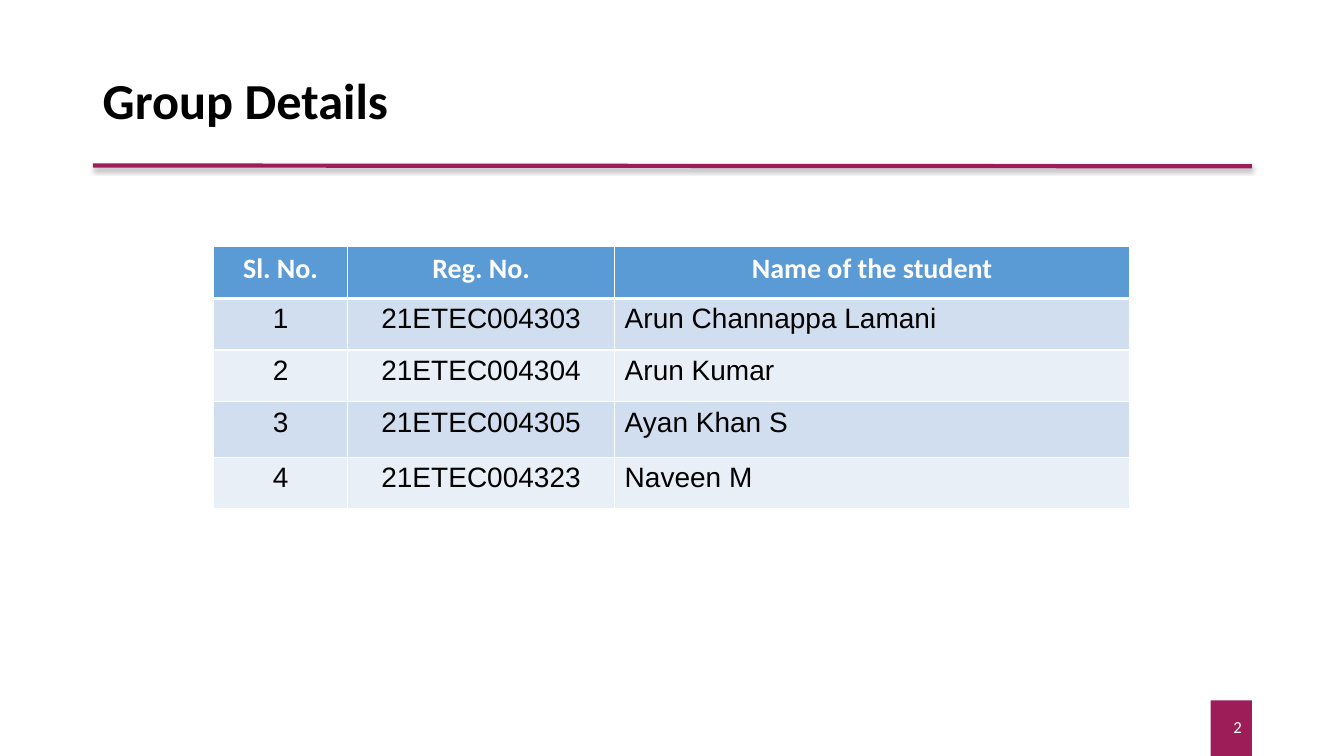
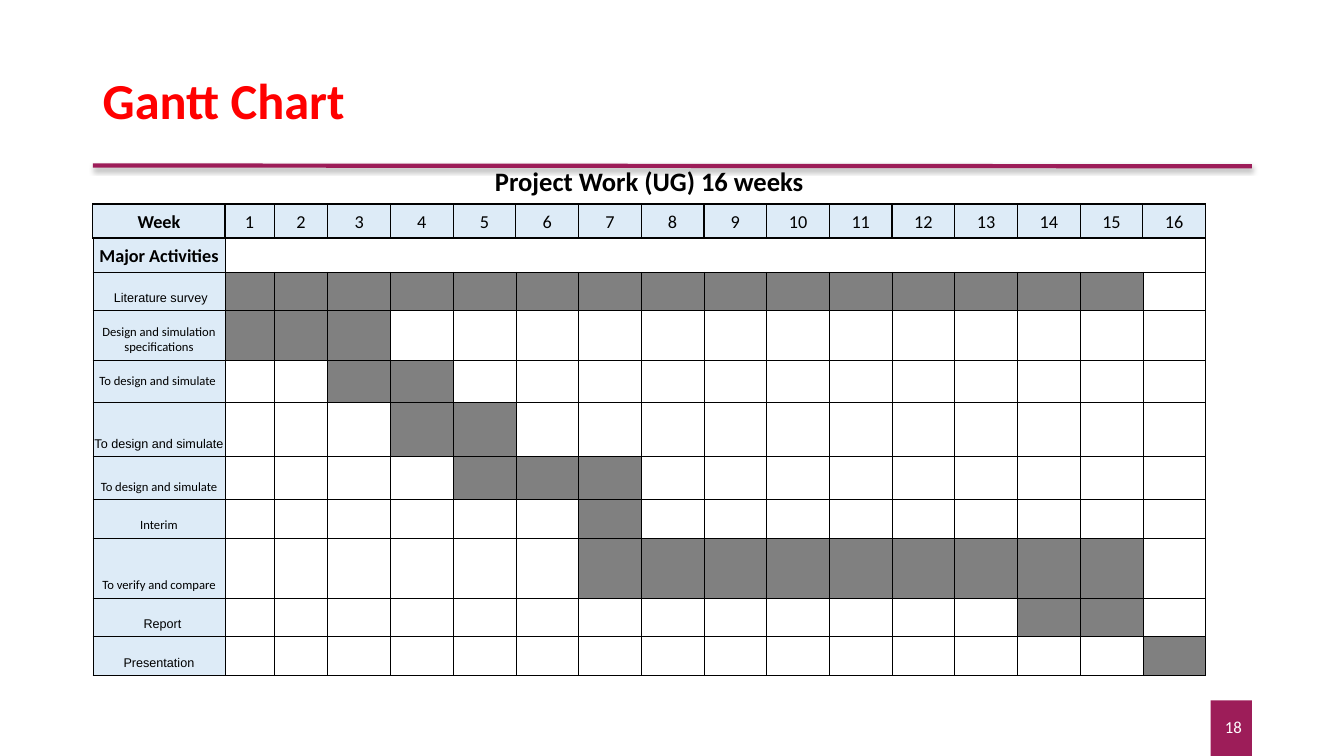
from lxml.etree import SubElement
from pptx import Presentation
from pptx.dml.color import RGBColor
from pptx.enum.shapes import MSO_CONNECTOR, MSO_SHAPE
from pptx.enum.text import MSO_ANCHOR, PP_ALIGN
from pptx.oxml.ns import qn
from pptx.util import Cm, Pt

COLORS = {
    "accent": "9D1D59", "black": "000000", "white": "FFFFFF", "red": "FF0000",
    "header": "5B9BD5", "band_dark": "D1DEEF", "band_light": "E9EFF7",
    "label": "DDEBF7", "busy": "808080",
}
RGB = {name: RGBColor.from_string(value) for name, value in COLORS.items()}
NO_STYLE = "{2D5ABB26-0587-4C30-8999-92F81FD0307C}"

prs = Presentation()
prs.slide_width, prs.slide_height = Cm(33.87), Cm(19.05)


def start_slide(title, color, number, left, top, widths, heights):
    """Add a slide with rule, page number and title; return its unstyled table."""
    s = prs.slides.add_slide(prs.slide_layouts[6])

    rule = s.shapes.add_connector(MSO_CONNECTOR.STRAIGHT, Cm(2.34), Cm(4.17), Cm(31.55), Cm(4.19))
    rule.line.color.rgb = RGB["accent"]
    rule.line.width = Pt(3)
    effects = SubElement(rule._element.spPr, qn("a:effectLst"))
    shadow = SubElement(effects, qn("a:outerShdw"), blurRad=str(Pt(3.1)), dist=str(Pt(1.8)),
                        dir="5400000", rotWithShape="0")
    shade = SubElement(shadow, qn("a:srgbClr"), val=COLORS["black"])
    SubElement(shade, qn("a:alpha"), val="35000")

    tab = s.shapes.add_shape(MSO_SHAPE.RECTANGLE, Cm(30.51), Cm(17.65), Cm(1.04), Cm(1.4))
    tab.shadow.inherit = False
    tab.fill.solid()
    tab.fill.fore_color.rgb = RGB["accent"]
    tab.line.fill.background()
    heading = s.shapes.add_textbox(Cm(2.34), Cm(1.02), Cm(23), Cm(3.18))
    for sp, text, size, ink, bold, align in (
        (tab, str(number), 12, "white", False, PP_ALIGN.RIGHT),
        (heading, title, 36, color, True, PP_ALIGN.LEFT),
    ):
        tf = sp.text_frame
        tf.word_wrap = True
        tf.vertical_anchor = MSO_ANCHOR.MIDDLE
        tf.text = text
        p = tf.paragraphs[0]
        p.alignment = align
        p.line_spacing = 0.9
        font = p.runs[0].font
        font.name, font.size, font.bold = "Calibri", Pt(size), bold
        font.color.rgb = RGB[ink]

    table = s.shapes.add_table(len(heights), len(widths), Cm(left), Cm(top),
                               Cm(sum(widths)), Cm(sum(heights))).table
    table.first_row = table.horz_banding = False
    table._tbl.tblPr.find(qn("a:tableStyleId")).text = NO_STYLE
    for column, width in zip(table.columns, widths):
        column.width = Cm(width)
    for row, height in zip(table.rows, heights):
        row.height = Cm(height)
    return table


def format_cell(cell, text="", size=9, font="Calibri", ink="black", bold=False,
                align=PP_ALIGN.CENTER, fill=None, border="black", edges=(0.5,) * 4):
    """Edges are the line widths left, right, top and bottom; 0 draws none."""
    tcPr = cell._tc.get_or_add_tcPr()
    for side, width in zip("LRTB", edges):
        ln = SubElement(tcPr, qn(f"a:ln{side}"), w=str(Pt(width)))
        if width:
            line_fill = SubElement(ln, qn("a:solidFill"))
            SubElement(line_fill, qn("a:srgbClr"), val=COLORS[border])
        else:
            SubElement(ln, qn("a:noFill"))
    if fill:
        cell.fill.solid()
        cell.fill.fore_color.rgb = RGB[fill]
    else:
        cell.fill.background()
    if not text:
        cell.margin_top = cell.margin_bottom = 0
        return
    cell.text_frame.text = text
    p = cell.text_frame.paragraphs[0]
    p.alignment = align
    f = p.runs[0].font
    f.name, f.size, f.bold = font, Pt(size), bold
    f.color.rgb = RGB[ink]


# Group details
students = [
    ("Sl. No.", "Reg. No.", "Name of the student"),
    ("1", "21ETEC004303", "Arun Channappa Lamani"),
    ("2", "21ETEC004304", "Arun Kumar"),
    ("3", "21ETEC004305", "Ayan Khan S"),
    ("4", "21ETEC004323", "Naveen M"),
]
table = start_slide("Group Details", "black", 2, 5.38, 6.22,
                    [3.38, 6.73, 12.98], [1.3, 1.3, 1.3, 1.4, 1.3])
for i, student in enumerate(students):
    for j, text in enumerate(student):
        if i == 0:
            look = {"font": "Calibri", "ink": "white", "bold": True, "fill": "header"}
        else:
            look = {"font": "Arial", "fill": "band_dark" if i % 2 else "band_light"}
            if j == 2:
                look["align"] = PP_ALIGN.LEFT
        edges = (0.96, 0.96, 3 if i == 1 else 0.96, 3 if i == 0 else 0.96)
        format_cell(table.cell(i, j), text, 20, border="white", edges=edges, **look)

# Gantt chart: activity, font, first and last busy week, row height
WEEKS = 16
activities = [
    (" Literature survey", "Arial", 1, 15, 0.96),
    ("Design and simulation specifications", "Calibri", 1, 3, 1.25),
    ("To design and simulate ", "Calibri", 3, 4, 1.08),
    ("To design and simulate", "Arial", 4, 5, 1.36),
    ("To design and simulate", "Calibri", 5, 7, 1.08),
    ("Interim", "Calibri", 7, 7, 0.97),
    ("To verify and compare", "Calibri", 7, 15, 1.52),
    ("  Report", "Arial", 14, 15, 0.96),
    ("Presentation", "Arial", 16, 16, 0.98),
]
table = start_slide("Gantt Chart", "red", 18, 2.34, 4.01,
                    [3.33, 1.24, 1.35] + [1.58] * (WEEKS - 2),
                    [1.13, 0.86, 0.86] + [activity[-1] for activity in activities])
table.cell(0, 0).merge(table.cell(0, WEEKS))
table.cell(2, 1).merge(table.cell(2, WEEKS))

format_cell(table.cell(0, 0), "Project Work (UG) 16 weeks", 19, bold=True, edges=(0, 0, 0, 0.96))
for week in range(WEEKS + 1):
    format_cell(table.cell(1, week), str(week) if week else "Week", 13, bold=week == 0,
                fill="label", edges=(0.96,) * 4)
under_header = (0.5, 0.5, 0.96, 0.5)
format_cell(table.cell(2, 0), "Major Activities", 13, bold=True, fill="label", edges=under_header)
format_cell(table.cell(2, 1), edges=under_header)
for i, (name, font, first, last, _) in enumerate(activities, start=3):
    format_cell(table.cell(i, 0), name, font=font, fill="label")
    for week in range(1, WEEKS + 1):
        format_cell(table.cell(i, week), fill="busy" if first <= week <= last else "white")

for cell in table.iter_cells():
    cell.margin_left = cell.margin_right = Cm(0.03)
    cell.vertical_anchor = MSO_ANCHOR.BOTTOM
    if cell.is_spanned:
        cell.margin_top = cell.margin_bottom = 0
table.cell(5, 0).vertical_anchor = MSO_ANCHOR.MIDDLE

prs.save("out.pptx")
